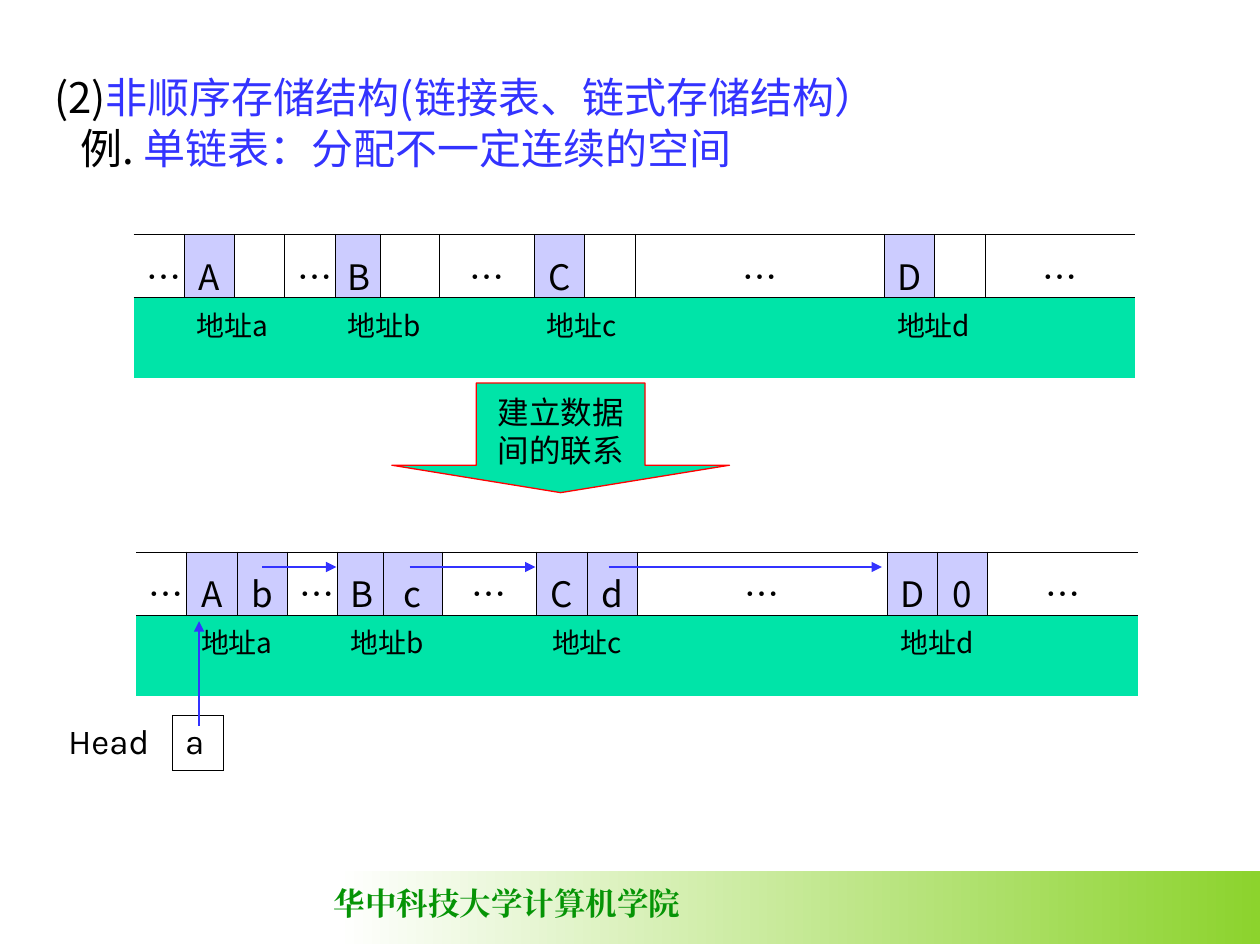
from lxml.etree import SubElement
from pptx import Presentation
from pptx.dml.color import RGBColor
from pptx.enum.shapes import MSO_CONNECTOR, MSO_SHAPE
from pptx.enum.text import MSO_ANCHOR, PP_ALIGN
from pptx.oxml.ns import qn
from pptx.util import Inches, Pt

HUES = {
    "ink": "000000", "blue": "3333FF", "cell": "CCCCFF", "mint": "00E4A8",
    "red": "FF0000", "green": "069406", "white": "FFFFFF", "lime": "8CD32D",
}
NOTO = "Noto Sans CJK SC"
LEFT, MID = PP_ALIGN.LEFT, PP_ALIGN.CENTER
WIDTHS = [0.4, 0.4, 0.4, 0.4, 0.36, 0.47, 0.75, 0.4, 0.4, 1.98, 0.4, 0.4, 1.19]
NODES = {1: "A", 4: "B", 7: "C", 10: "D"}


def hue(name):
    return RGBColor.from_string(HUES[name])


def write(frame, *lines, size=20, face=NOTO, color="ink", bold=False,
          align=LEFT, before=0, space=None):
    for i, line in enumerate(lines):
        para = frame.paragraphs[0] if i == 0 else frame.add_paragraph()
        para.alignment = align
        para.space_before = Pt(before if i else 0)
        para.line_spacing = space
        for text, tone in [(line, color)] if isinstance(line, str) else line:
            run = para.add_run()
            run.text = text
            font = run.font
            font.size, font.bold, font.name = Pt(size), bold, face
            font.color.rgb = hue(tone)
            SubElement(font._element, qn("a:ea"), typeface=face)


def paint(shape, fill, line=None):
    shape.shadow.inherit = False
    shape.fill.solid()
    shape.fill.fore_color.rgb = hue(fill)
    if line:
        shape.line.color.rgb = hue(line)
        shape.line.width = Pt(0.75)
    else:
        shape.line.fill.background()


def edge(cell, sides, fill=None):
    props = cell._tc.get_or_add_tcPr()
    for side in "LRTB":
        line = SubElement(props, qn("a:ln" + side), w=str(Pt(0.45)))
        if side in sides:
            solid = SubElement(line, qn("a:solidFill"))
            SubElement(solid, qn("a:srgbClr"), val=HUES["ink"])
        else:
            SubElement(line, qn("a:noFill"))
    if fill:
        cell.fill.solid()
        cell.fill.fore_color.rgb = hue(fill)
    else:
        cell.fill.background()


def add_grid(slide, left, top, cols, rows):
    shape = slide.shapes.add_table(len(rows), len(cols), Inches(left), Inches(top),
                                   Inches(sum(cols)), Inches(sum(rows)))
    grid = shape.table
    grid.first_row = grid.horz_banding = False
    for col, width in zip(grid.columns, cols):
        col.width = Inches(width)
    for row, height in zip(grid.rows, rows):
        row.height = Inches(height)
    return grid


def add_store(slide, left, top, links, mids):
    grid = add_grid(slide, left, top, WIDTHS, [0.44, 0.64])
    last = len(WIDTHS) - 1
    for i in range(len(WIDTHS)):
        cell, base = grid.cell(0, i), grid.cell(1, i)
        node = NODES.get(i)
        link = links.get(i - 1, "")
        gap = not node and i - 1 not in NODES
        text = node or ("…" if gap else link)
        sides = {0: "RTB", last: "LTB"}.get(i, "LRTB")
        edge(cell, sides, "cell" if node or link else None)
        edge(base, "T", "mint")
        if text:
            write(cell.text_frame, text, align=MID)
            cell.margin_top = Inches(0.12)
        if node:
            base.merge(grid.cell(1, i + 1))
            write(base.text_frame, "地址" + node.lower(), size=16,
                  align=MID if node in mids else LEFT)


def add_arrow(slide, *ends):
    arrow = slide.shapes.add_connector(MSO_CONNECTOR.STRAIGHT, *map(Inches, ends))
    arrow.line.color.rgb = hue("blue")
    arrow.line.width = Pt(0.75)
    SubElement(arrow.line._get_or_add_ln(), qn("a:tailEnd"), type="triangle")
    SubElement(arrow._element.spPr, qn("a:effectLst"))


def add_foot(slide):
    bar = slide.shapes.add_shape(MSO_SHAPE.RECTANGLE, Inches(2.67), Inches(6.91),
                                 Inches(7.33), Inches(0.58))
    paint(bar, "white")
    bar.fill.gradient()
    bar.fill.gradient_angle = 0
    for stop, name in zip(bar.fill.gradient_stops, ["white", "lime"]):
        stop.color.rgb = hue(name)
    box = slide.shapes.add_textbox(Inches(2.55), Inches(6.97), Inches(2.95), Inches(0.4))
    write(box.text_frame, "华中科技大学计算机学院", size=18,
          face="Times New Roman", color="green", bold=True)


def add_title(slide):
    title = slide.shapes.title
    title.left, title.top = Inches(0.33), Inches(0.56)
    title.width, title.height = Inches(9.33), Inches(1.14)
    frame = title.text_frame
    frame.vertical_anchor = MSO_ANCHOR.TOP
    write(frame,
          [("(2)", "ink"), ("非顺序存储结构(链接表、链式存储结构）", "blue")],
          [("例. ", "ink"), ("单链表：分配不一定连续的空间", "blue")],
          size=24, before=3.5, space=0.9)
    for para, dent in zip(frame.paragraphs, [-0.38, -0.17]):
        props = para._p.get_or_add_pPr()
        props.set("marL", str(Inches(0.38)))
        props.set("indent", str(Inches(dent)))


def add_step(slide):
    step = slide.shapes.add_shape(MSO_SHAPE.DOWN_ARROW, Inches(3.11), Inches(3.04),
                                  Inches(2.68), Inches(0.87))
    step.adjustments[0], step.adjustments[1] = 0.5, 0.25
    paint(step, "mint", "red")
    step.text_frame.word_wrap = False
    step.text_frame.vertical_anchor = MSO_ANCHOR.MIDDLE
    write(step.text_frame, "建立数据", "间的联系", size=18, face="Arial", align=MID)


def add_head(slide):
    grid = add_grid(slide, 0.44, 5.68, [0.93, 0.4], [0.43])
    for i, (text, sides) in enumerate([("Head", "R"), ("a", "LRTB")]):
        cell = grid.cell(0, i)
        edge(cell, sides)
        write(cell.text_frame, text, face="Karla")


def main():
    deck = Presentation()
    deck.slide_width, deck.slide_height = Inches(10), Inches(7.5)
    slide = deck.slides.add_slide(deck.slide_layouts[5])
    add_foot(slide)
    add_title(slide)
    add_store(slide, 1.08, 4.38, {1: "b", 4: "c", 7: "d", 10: "0"}, "ACD")
    for start, end in [(2.08, 2.67), (3.25, 4.25), (4.83, 7)]:
        add_arrow(slide, start, 4.5, end, 4.5)
    add_head(slide)
    add_arrow(slide, 1.58, 5.76, 1.58, 4.93)
    add_store(slide, 1.06, 1.86, {}, "")
    add_step(slide)
    deck.save("out.pptx")


if __name__ == "__main__":
    main()
